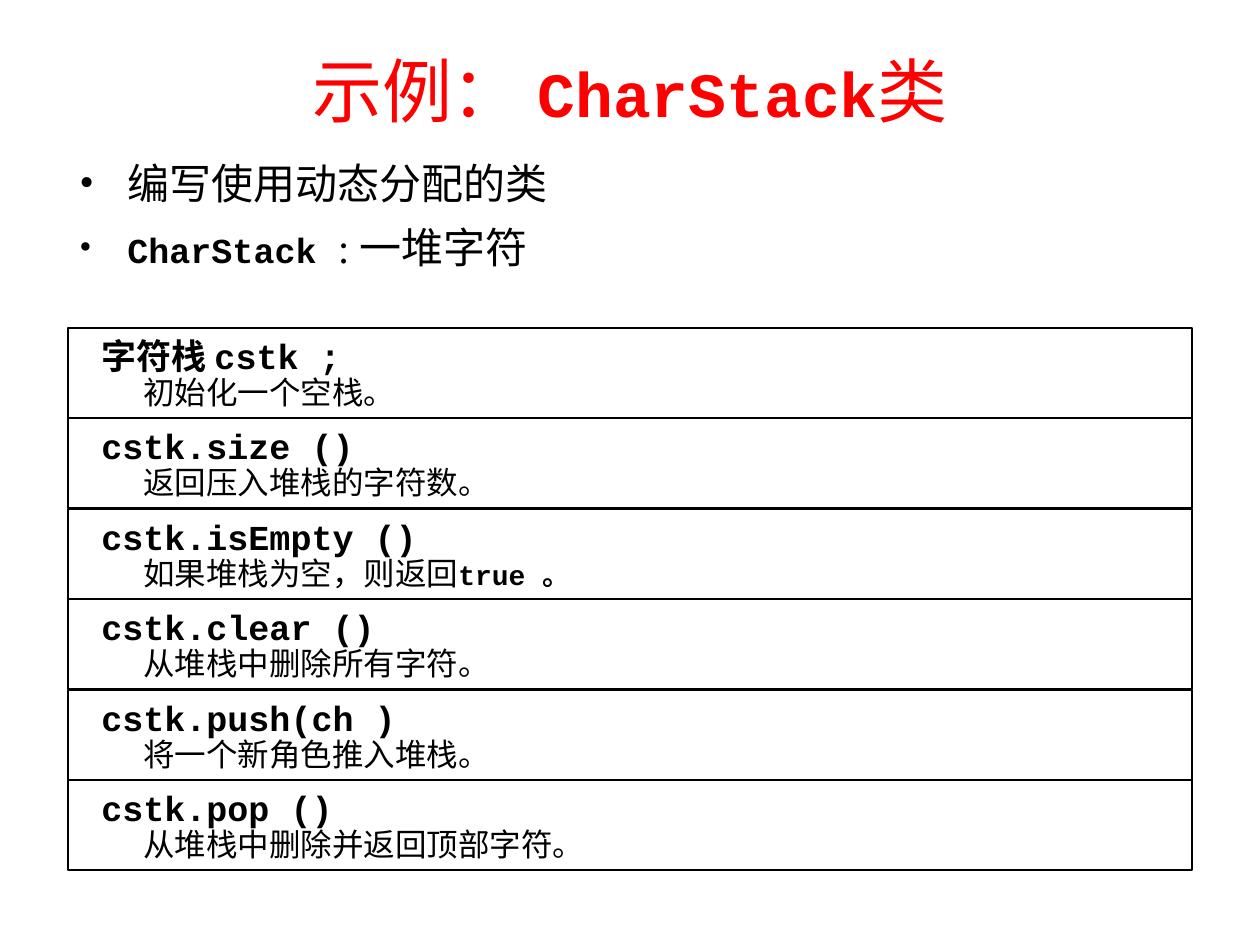
from lxml import etree
from pptx import Presentation
from pptx.dml.color import RGBColor
from pptx.oxml.ns import qn
from pptx.util import Emu, Pt
from pptx.enum import shapes, text

SCALE = 914400 / 126  # EMU per px
THEME = {
    "title": RGBColor(0xFF, 0, 0),
    "ink": RGBColor(0, 0, 0),
    "paper": RGBColor(0xFF, 0xFF, 0xFF),
    "serif": "Times New Roman",
    "mono": "Courier New",
    "title_size": 40, "title_code": 36,
    "bullet_size": 24, "code": 20, "note": 18, "note_code": 16,
    "border": 0.75,
}


def px(*lengths):
    return [Emu(round(n * SCALE)) for n in lengths]


def write(paragraph, runs, color, spacing=None):
    """Add (words, size, is_code) runs; spacing is spcBef or spcAft at 50%."""
    for words, size, is_code in runs:
        run = paragraph.add_run()
        run.text = words
        formats = {"size": Pt(THEME[size]), "bold": is_code,
                   "name": THEME["mono" if is_code else "serif"]}
        for key, value in formats.items():
            setattr(run.font, key, value)
        run.font.color.rgb = color
    if spacing:
        gap = etree.SubElement(paragraph._p.get_or_add_pPr(), qn("a:" + spacing))
        etree.SubElement(gap, qn("a:spcPct"), val="50000")


deck = Presentation()
deck.slide_width, deck.slide_height = px(1260, 945)
slide = deck.slides.add_slide(deck.slide_layouts[6])

# Title
title = slide.shapes.add_textbox(*px(0, 10, 1260, 158)).text_frame
title.word_wrap = True
title.vertical_anchor = text.MSO_ANCHOR.MIDDLE
title.paragraphs[0].alignment = text.PP_ALIGN.CENTER
write(title.paragraphs[0], [("示例： ", "title_size", False),
                            ("CharStack", "title_code", True),
                            ("类", "title_size", False)], THEME["title"])

# Operations: one bordered row each, with the call above its meaning
operations = [
    ("字符栈 cstk ;", [("初始化一个空栈。", "note", False)]),
    ("cstk.size ()", [("返回压入堆栈的字符数。", "note", False)]),
    ("cstk.isEmpty ()", [("如果堆栈为空，则返回", "note", False),
                         ("true 。", "note_code", True)]),
    ("cstk.clear ()", [("从堆栈中删除所有字符。", "note", False)]),
    ("cstk.push(ch )", [("将一个新角色推入堆栈。", "note", False)]),
    ("cstk.pop ()", [("从堆栈中删除并返回顶部字符。", "note", False)]),
]
for i, (call, meaning) in enumerate(operations):
    top = 328 + i * 181 // 2
    row = slide.shapes.add_group_shape().shapes
    frame = row.add_shape(shapes.MSO_SHAPE.RECTANGLE, *px(68, top, 1124, 90))
    frame.shadow.inherit = False
    frame.fill.solid()
    frame.fill.fore_color.rgb = THEME["paper"]
    frame.line.color.rgb = THEME["ink"]
    frame.line.width = Pt(THEME["border"])
    for box, runs in [((89, top, 1081, 54), [(call, "code", True)]),
                      ((131, top + 39, 1050, 50), meaning)]:
        label = row.add_textbox(*px(*box)).text_frame
        label.word_wrap = True
        label.auto_size = text.MSO_AUTO_SIZE.SHAPE_TO_FIT_TEXT
        write(label.paragraphs[0], runs, THEME["ink"], "spcBef")

# Bullets
bullets = [
    [("编写使用动态分配的类", "bullet_size", False)],
    [("CharStack ", "code", True), (": 一堆字符", "bullet_size", False)],
]
intro = slide.shapes.add_textbox(*px(67, 159, 1120, 130)).text_frame
intro.word_wrap = True
for i, runs in enumerate(bullets):
    point = intro.add_paragraph() if i else intro.paragraphs[0]
    point.line_spacing = 0.85
    write(point, runs, THEME["ink"], "spcAft")
    layout = point._p.get_or_add_pPr()
    indent = px(48)[0]
    layout.set("marL", str(indent))
    layout.set("indent", str(-indent))
    etree.SubElement(layout, qn("a:buFont"), typeface=THEME["serif"])
    etree.SubElement(layout, qn("a:buChar"), char="•")

deck.save("out.pptx")
